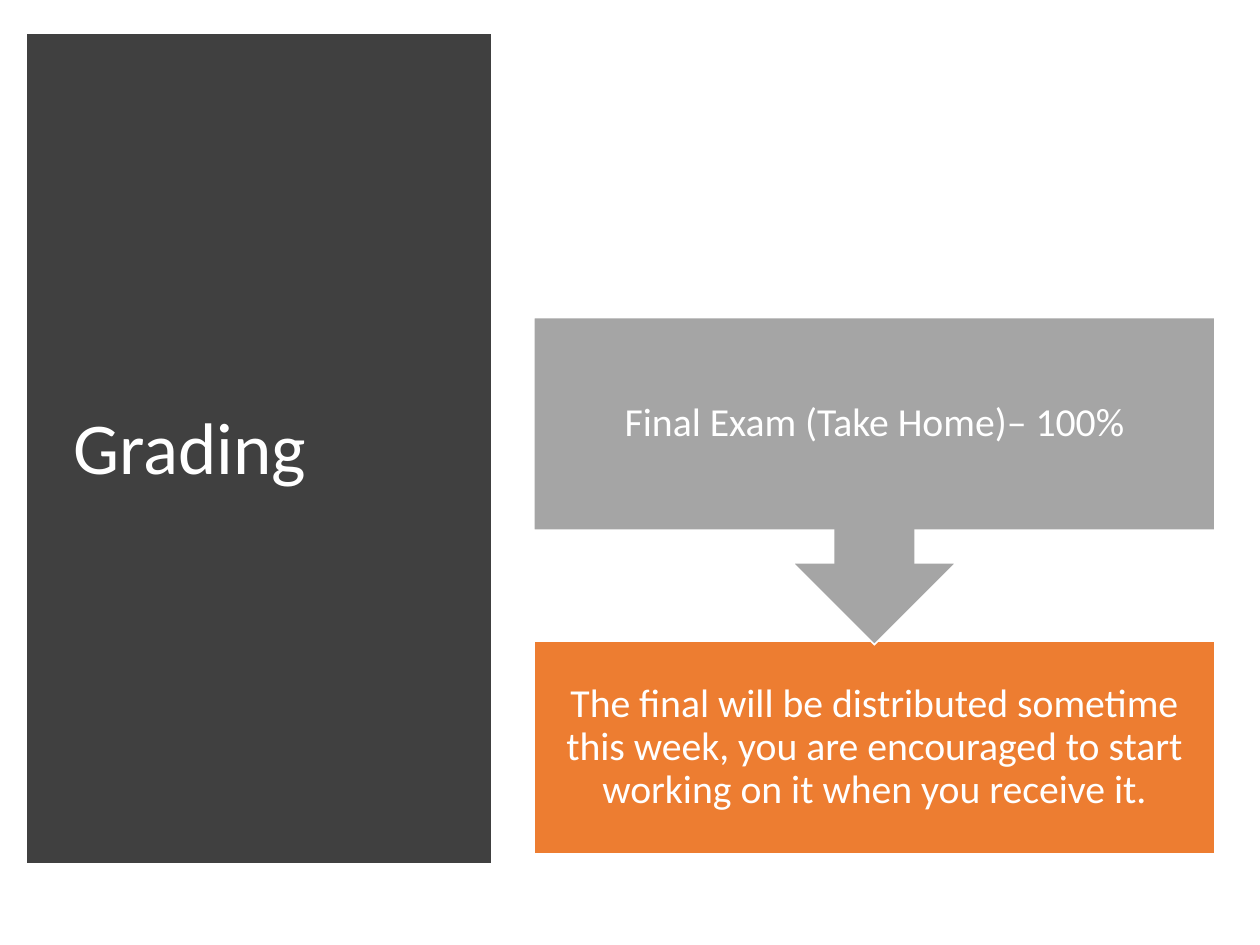
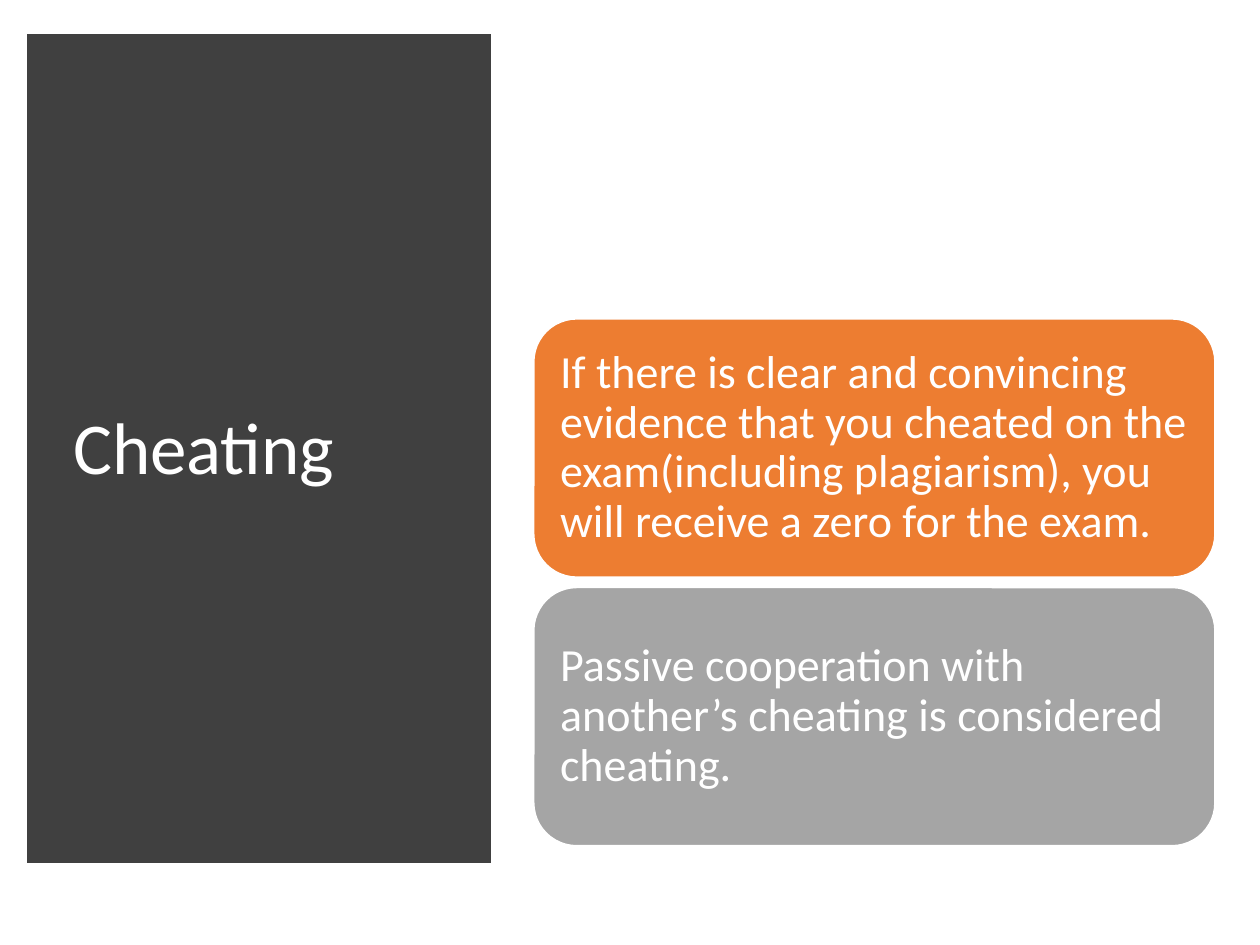
"""Builds two course-policy slides that share a dark title panel."""
from dataclasses import dataclass

from lxml import etree
from pptx import Presentation
from pptx.dml.color import RGBColor
from pptx.enum.shapes import MSO_SHAPE
from pptx.enum.text import MSO_ANCHOR, MSO_AUTO_SIZE, PP_ALIGN
from pptx.oxml.ns import qn
from pptx.util import Inches, Pt

RECTANGLE = MSO_SHAPE.RECTANGLE
ROUNDED = MSO_SHAPE.ROUNDED_RECTANGLE
ARROW_CALLOUT = MSO_SHAPE.DOWN_ARROW_CALLOUT
LEFT, CENTER = PP_ALIGN.LEFT, PP_ALIGN.CENTER
MIDDLE = MSO_ANCHOR.MIDDLE
NO_AUTOFIT = MSO_AUTO_SIZE.NONE
TITLE_ONLY = 5
CENTIMETERS_PER_INCH = 2.54


@dataclass(frozen=True)
class Theme:
    """Colours, font and type sizes of the presentation."""
    panel: RGBColor = RGBColor.from_string("404040")
    orange: RGBColor = RGBColor.from_string("ED7D31")
    gray: RGBColor = RGBColor.from_string("A5A5A5")
    white: RGBColor = RGBColor.from_string("FFFFFF")
    font: str = "Calibri"
    title_size: int = 46
    step_size: int = 25
    card_size: int = 29
    line_spacing: float = 0.9


@dataclass(frozen=True)
class Box:
    """A rectangle in inches."""
    left: float
    top: float
    width: float
    height: float

    def lengths(self):
        """Return the four sides as slide lengths."""
        return [Inches(side) for side in (self.left, self.top, self.width, self.height)]


THEME = Theme()
PANEL = Box(0.31, 0.37, 3.92, 7.11)
STEPS = Box(4.67, 2.78, 5.96, 4.69)
CARDS = Box(4.67, 2.79, 5.96, 4.61)


def write_text(shape, text, size, alignment, margin=0.1):
    """Write one white, vertically centred paragraph into a shape."""
    frame = shape.text_frame
    frame.text = text
    frame.word_wrap = True
    frame.auto_size = NO_AUTOFIT
    frame.vertical_anchor = MIDDLE
    frame.margin_left = frame.margin_right = Inches(margin)
    frame.margin_top = frame.margin_bottom = Inches(margin)
    paragraph = frame.paragraphs[0]
    paragraph.alignment = alignment
    paragraph.line_spacing = THEME.line_spacing
    font = paragraph.runs[0].font
    font.name = THEME.font
    font.size = Pt(size)
    font.color.rgb = THEME.white


def add_block(slide, kind, box, fill, line, line_width=1):
    """Add a filled shape with a sharp-cornered outline and no shadow."""
    shape = slide.shapes.add_shape(kind, *box.lengths())
    shape.shadow.inherit = False
    shape.fill.solid()
    shape.fill.fore_color.rgb = fill
    shape.line.color.rgb = line
    shape.line.width = Pt(line_width)
    etree.SubElement(shape.element.spPr.find(qn("a:ln")), qn("a:miter"), lim="800000")
    return shape


def add_titled_slide(presentation, text, box):
    """Add a slide with its title on a dark panel."""
    slide = presentation.slides.add_slide(presentation.slide_layouts[TITLE_ONLY])
    panel = add_block(slide, RECTANGLE, box, THEME.panel, THEME.panel, 10)
    title = slide.shapes.title
    title.element.addprevious(panel.element)
    title_box = Box(box.left + 0.23, box.top + 0.4, box.width - 0.48, box.height - 0.77)
    title.left, title.top, title.width, title.height = title_box.lengths()
    write_text(title, text, THEME.title_size, LEFT)
    return slide


def add_steps(slide, box, first, second):
    """Add a callout whose arrow points down to a second step."""
    step_height, callout_height = 1.86, 2.86
    second_top = box.top + box.height - step_height
    second_box = Box(box.left, second_top, box.width, step_height)
    first_box = Box(box.left, box.top, box.width, callout_height)
    for kind, step_box, fill, text in (
        (RECTANGLE, second_box, THEME.orange, second),
        (ARROW_CALLOUT, first_box, THEME.gray, first),
    ):
        step = add_block(slide, kind, step_box, fill, THEME.white)
        write_text(step, text, THEME.step_size, CENTER, 0.19)


def add_cards(slide, box, texts):
    """Stack rounded cards of equal height in the box."""
    gap = 0.09
    height = (box.height - gap * (len(texts) - 1)) / len(texts)
    for index, text in enumerate(texts):
        top = box.top + index * (height + gap)
        fill = (THEME.orange, THEME.gray)[index % 2]
        card = add_block(slide, ROUNDED, Box(box.left, top, box.width, height), fill, THEME.white)
        write_text(card, text, THEME.card_size, LEFT, 0.12)


def main():
    """Build and save the presentation."""
    presentation = Presentation()
    presentation.slide_width = Inches(28 / CENTIMETERS_PER_INCH)
    presentation.slide_height = Inches(21 / CENTIMETERS_PER_INCH)

    grading = add_titled_slide(presentation, "Grading", PANEL)
    add_steps(
        grading,
        STEPS,
        "Final Exam (Take Home)– 100%",
        "The final will be distributed sometime this week, you are encouraged "
        "to start working on it when you receive it.",
    )

    cheating = add_titled_slide(presentation, "Cheating", PANEL)
    add_cards(cheating, CARDS, [
        "If there is clear and convincing evidence that you cheated on the "
        "exam(including plagiarism), you will receive a zero for the exam.",
        "Passive cooperation with another’s cheating is considered cheating.",
    ])

    presentation.save("out.pptx")


if __name__ == "__main__":
    main()
